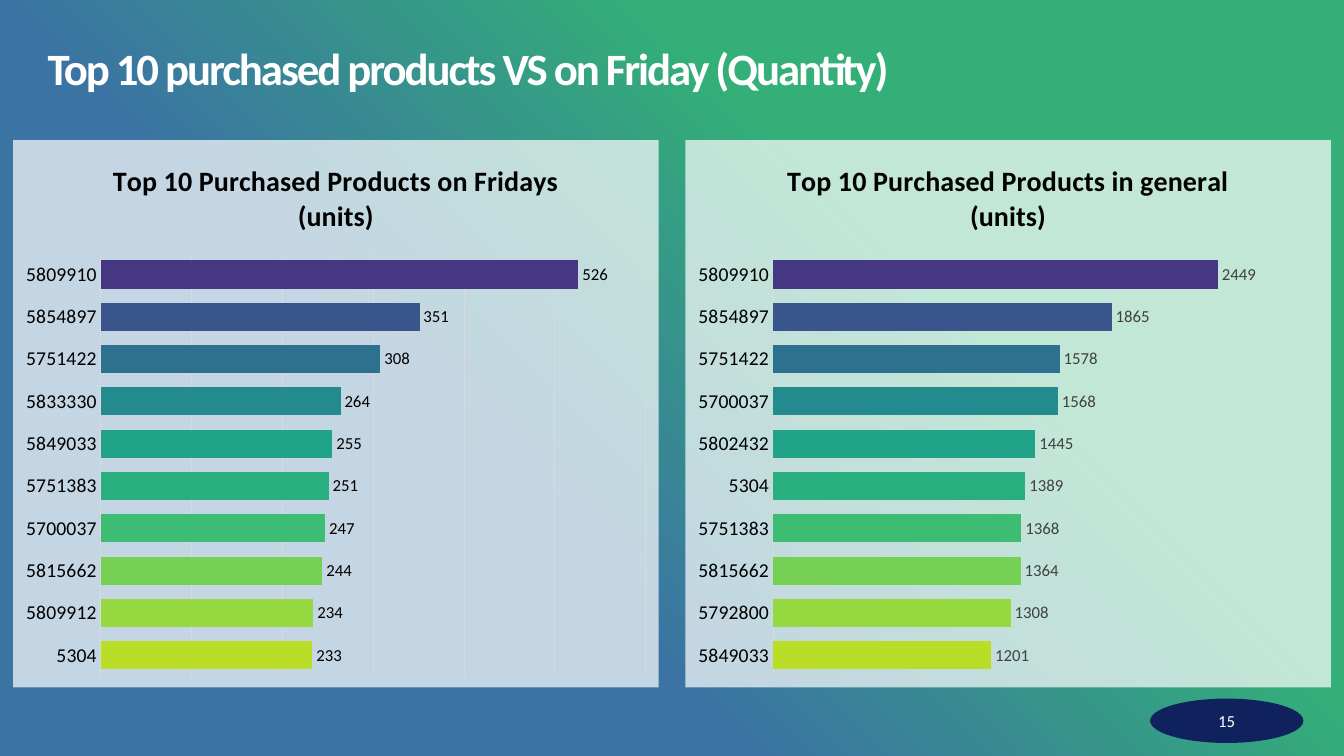
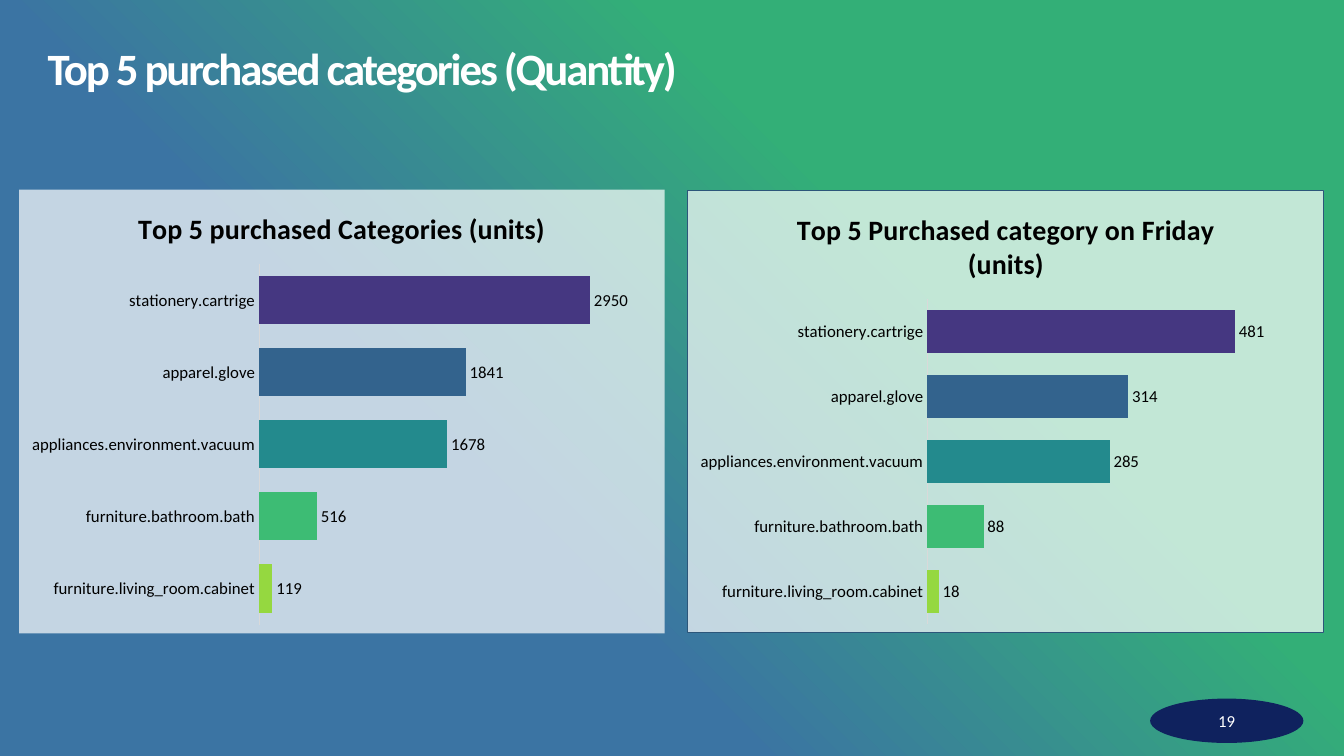
from dataclasses import dataclass

from lxml import etree
from pptx import Presentation
from pptx.chart.data import CategoryChartData
from pptx.dml.color import RGBColor
from pptx.enum.chart import XL_CHART_TYPE, XL_LABEL_POSITION, XL_TICK_MARK
from pptx.enum.shapes import MSO_SHAPE
from pptx.enum.text import MSO_ANCHOR, MSO_AUTO_SIZE, PP_ALIGN
from pptx.oxml import parse_xml
from pptx.oxml.ns import nsdecls, qn
from pptx.util import Pt

BAR = XL_CHART_TYPE.BAR_CLUSTERED
OUTSIDE_END = XL_LABEL_POSITION.OUTSIDE_END
NO_TICK = XL_TICK_MARK.NONE
ELLIPSE = MSO_SHAPE.OVAL
MIDDLE = MSO_ANCHOR.MIDDLE
NO_FIT = MSO_AUTO_SIZE.NONE
LEFT, CENTER = PP_ALIGN.LEFT, PP_ALIGN.CENTER


@dataclass(frozen=True)
class Theme:
    font: str = "Calibri"
    green: str = "33AF77"
    blue: str = "3B74A3"
    navy: str = "0F225E"
    border: str = "2C567A"
    white: str = "FFFFFF"
    black: str = "000000"
    grey: str = "404040"
    rule: str = "D9D9D9"
    title_size: float = 32
    chart_title_size: float = 20
    chart_size: float = 10
    product_size: float = 14
    small_size: float = 12
    line_width: float = 0.75
    panel_opacity: int = 70


THEME = Theme()
TEN_COLOURS = ("453781", "39558C", "2D718E", "238A8D", "20A386",
               "29AF7F", "3DBC74", "75D054", "95D840", "BADE28")
FIVE_COLOURS = ("453781", "33638D", "238A8D", "3DBC74", "95D840")
CATEGORIES = ("stationery.cartrige", "apparel.glove", "appliances.environment.vacuum",
              "furniture.bathroom.bath", "furniture.living_room.cabinet")

SLIDE_SIZE = (960, 540)
TITLE_BOX = (34, 34, 892, 34)
NUMBER_BOX = (821.5, 499, 109.5, 31.7)

SLIDES = [
    {
        "title": "Top 10 purchased products VS on Friday (Quantity)",
        "number": "15",
        "colours": TEN_COLOURS,
        "label_size": THEME.product_size,
        "charts": [
            {
                "title": "Top 10 Purchased Products on Fridays (units)",
                "box": (9.4, 100, 461, 391),
                "names": ("5809910", "5854897", "5751422", "5833330", "5849033",
                          "5751383", "5700037", "5815662", "5809912", "5304"),
                "values": (526, 351, 308, 264, 255, 251, 247, 244, 234, 233),
                "gridlines": True,
            },
            {
                "title": "Top 10 Purchased Products in general (units)",
                "box": (489.6, 100, 461, 391),
                "names": ("5809910", "5854897", "5751422", "5700037", "5802432",
                          "5304", "5751383", "5815662", "5792800", "5849033"),
                "values": (2449, 1865, 1578, 1568, 1445, 1389, 1368, 1364, 1308, 1201),
                "value_colour": THEME.grey,
            },
        ],
    },
    {
        "title": "Top 5 purchased categories (Quantity)",
        "number": "19",
        "colours": FIVE_COLOURS,
        "label_size": THEME.small_size,
        "charts": [
            {
                "title": "Top 5 purchased Categories (units)",
                "box": (13.7, 135.5, 461, 317),
                "names": CATEGORIES,
                "values": (2950, 1841, 1678, 516, 119),
            },
            {
                "title": "Top 5 Purchased category on Friday (units)",
                "box": (491, 135.5, 455, 317),
                "names": CATEGORIES,
                "values": (481, 314, 285, 88, 18),
                "border": True,
            },
        ],
    },
]


def points(box):
    return [Pt(length) for length in box]


def set_all(target, **values):
    for name, value in values.items():
        setattr(target, name, value)


def style_font(font, size, colour, bold=False):
    set_all(font, name=THEME.font, size=Pt(size), bold=bold)
    font.color.rgb = RGBColor.from_string(colour)


def paint(fill, colour):
    fill.solid()
    fill.fore_color.rgb = RGBColor.from_string(colour)


def style_rule(line):
    paint(line.fill, THEME.rule)
    line.width = Pt(THEME.line_width)


def set_background(master):
    master.background.fill.solid()
    holder = master.element.find(".//" + qn("p:bgPr"))
    holder.replace(holder[0], parse_xml(
        f'<a:gradFill {nsdecls("a")} rotWithShape="1"><a:gsLst>'
        f'<a:gs pos="33000"><a:srgbClr val="{THEME.green}"/></a:gs>'
        f'<a:gs pos="64000"><a:srgbClr val="{THEME.blue}"/></a:gs></a:gsLst>'
        '<a:path path="circle"><a:fillToRect l="100000" b="100000"/></a:path>'
        '<a:tileRect t="-100000" r="-100000"/></a:gradFill>'))


def set_panel(chart, border):
    panel = parse_xml(
        f'<c:spPr {nsdecls("c", "a")}><a:solidFill><a:srgbClr val="{THEME.white}">'
        f'<a:alpha val="{THEME.panel_opacity * 1000}"/></a:srgbClr></a:solidFill></c:spPr>')
    line = etree.SubElement(panel, qn("a:ln"))
    if border:
        line.set("w", str(Pt(THEME.line_width)))
        fill = etree.SubElement(line, qn("a:solidFill"))
        etree.SubElement(fill, qn("a:srgbClr")).set("val", THEME.border)
    else:
        etree.SubElement(line, qn("a:noFill"))
    chart.element.find(qn("c:chart")).addnext(panel)


def add_title(page, text):
    title = page.shapes.title
    set_all(title, **dict(zip(("left", "top", "width", "height"), points(TITLE_BOX))))
    frame = title.text_frame
    set_all(frame, margin_left=0, margin_top=0, margin_right=0, margin_bottom=0,
            vertical_anchor=MIDDLE, auto_size=NO_FIT, word_wrap=True)
    para = frame.paragraphs[0]
    set_all(para, alignment=LEFT, line_spacing=0.9)
    span = para.add_run()
    span.text = text
    style_font(span.font, THEME.title_size, THEME.white, bold=True)
    span.font._element.set("spc", "-150")


def add_number(page, text):
    badge = page.shapes.add_shape(ELLIPSE, *points(NUMBER_BOX))
    badge.shadow.inherit = False
    paint(badge.fill, THEME.navy)
    badge.line.fill.background()
    badge.text_frame.vertical_anchor = MIDDLE
    para = badge.text_frame.paragraphs[0]
    para.alignment = CENTER
    span = para.add_run()
    span.text = text
    style_font(span.font, THEME.small_size, THEME.white)


def add_bars(page, content, colours, label_size):
    data = CategoryChartData()
    data.categories = content["names"][::-1]
    data.add_series("Series 1", content["values"][::-1])
    chart = page.shapes.add_chart(BAR, *points(content["box"]), data).chart
    style_font(chart.font, THEME.chart_size, THEME.black)
    set_panel(chart, content.get("border", False))
    chart.has_legend = False

    para = chart.chart_title.text_frame.paragraphs[0]
    span = para.add_run()
    span.text = content["title"]
    style_font(span.font, THEME.chart_title_size, THEME.black, bold=True)

    names = chart.category_axis
    set_all(names, major_tick_mark=NO_TICK, minor_tick_mark=NO_TICK)
    style_font(names.tick_labels.font, label_size, THEME.black)
    style_rule(names.format.line)

    scale = chart.value_axis
    gridlines = content.get("gridlines", False)
    set_all(scale, visible=False, has_major_gridlines=gridlines)
    if gridlines:
        style_rule(scale.major_gridlines.format.line)

    plot = chart.plots[0]
    set_all(plot, gap_width=50, vary_by_categories=False)
    series = plot.series[0]
    for index, colour in enumerate(reversed(colours)):
        paint(series.points[index].format.fill, colour)
    labels = series.data_labels
    set_all(labels, show_value=True, position=OUTSIDE_END)
    style_font(labels.font, THEME.small_size, content.get("value_colour", THEME.black))


def main():
    deck = Presentation()
    deck.slide_width, deck.slide_height = points(SLIDE_SIZE)
    set_background(deck.slide_master)
    layout = deck.slide_layouts.get_by_name("Title Only")
    for content in SLIDES:
        page = deck.slides.add_slide(layout)
        add_title(page, content["title"])
        for chart in content["charts"]:
            add_bars(page, chart, content["colours"], content["label_size"])
        add_number(page, content["number"])
    deck.save("out.pptx")


if __name__ == "__main__":
    main()
